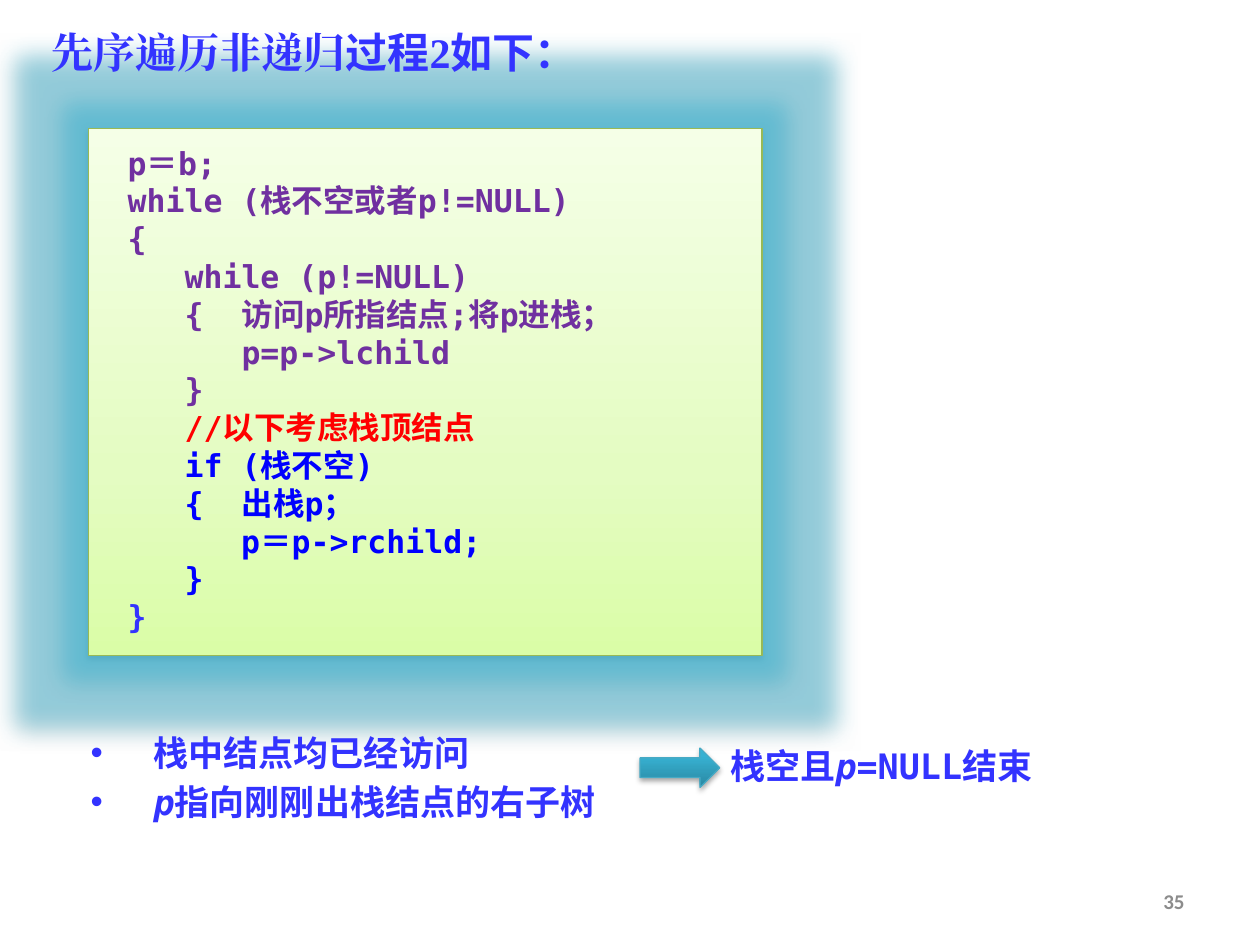
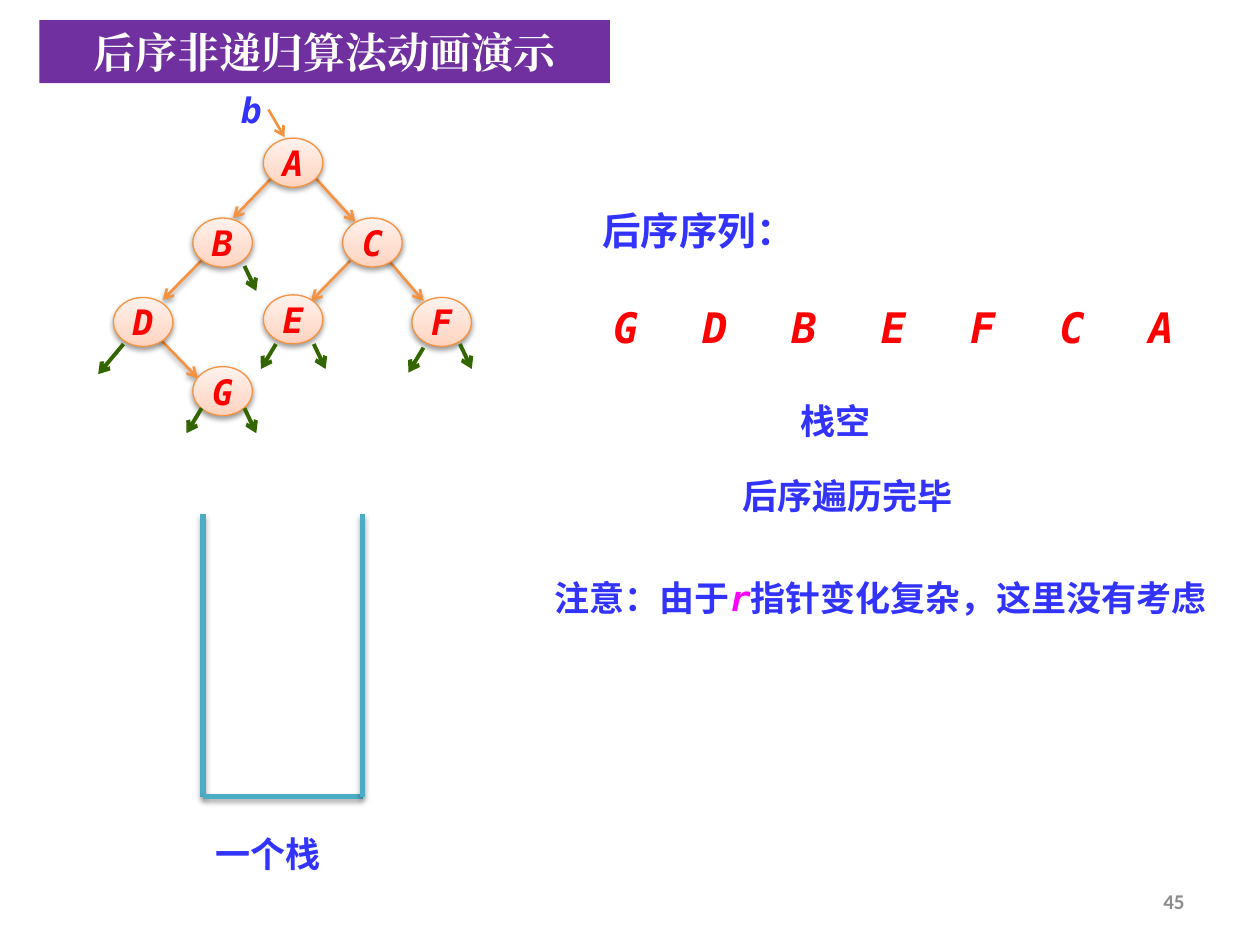
from dataclasses import dataclass

from lxml import etree
from pptx import Presentation
from pptx.dml.color import RGBColor
from pptx.enum.shapes import MSO_CONNECTOR, MSO_SHAPE
from pptx.enum.text import MSO_ANCHOR, PP_ALIGN
from pptx.oxml import parse_xml
from pptx.oxml.ns import nsdecls, qn
from pptx.util import Pt

LEFT, CENTER, RIGHT = PP_ALIGN.LEFT, PP_ALIGN.CENTER, PP_ALIGN.RIGHT
TOP, MIDDLE = MSO_ANCHOR.TOP, MSO_ANCHOR.MIDDLE
STRAIGHT = MSO_CONNECTOR.STRAIGHT
RECT, OVAL, ARROW = MSO_SHAPE.RECTANGLE, MSO_SHAPE.OVAL, MSO_SHAPE.RIGHT_ARROW


@dataclass(frozen=True)
class Theme:
    mono: str = "DejaVu Sans Mono"
    serif: str = "Times New Roman"
    cjk: str = "Noto Sans CJK SC"
    sans: str = "Calibri"
    title: int = 24
    heading: int = 22
    body: int = 20
    code: int = 18
    footer: int = 12
    ink: str = "3333FF"
    blue: str = "0000FF"
    red: str = "FF0000"
    purple: str = "7030A0"
    pink: str = "FF00FF"
    white: str = "FFFFFF"
    grey: str = "8C8C8C"
    orange: str = "F69240"
    green: str = "336600"
    teal: str = "4BACC6"
    teal_edge: str = "46AAC5"
    lime_edge: str = "98B955"
    glow: str = "2FB9DC"
    lime: tuple = ((0, "DAFDA7"), (35, "E4FCC2"), (100, "F5FFE7"))
    peach: tuple = ((0, "FFD2BD"), (35, "FFDED0"), (100, "FFF2ED"))
    sea: tuple = ((0, "2A88A2"), (80, "37B1D2"), (100, "34B4D6"))


T = Theme()
INSETS = (7.2, 3.6, 7.2, 3.6)


def rgb(color):
    return RGBColor.from_string(color)


def effects(s, shadow=0, glow=0):
    """Give a shape an optional glow radius and shadow opacity (percent)."""
    spPr = s._element.spPr
    lst = etree.SubElement(spPr, qn("a:effectLst"))
    if glow:
        lst.append(parse_xml(
            f'<a:glow {nsdecls("a")} rad="{Pt(glow)}"><a:srgbClr val="{T.glow}">'
            '<a:alpha val="40000"/></a:srgbClr></a:glow>'))
    if shadow:
        lst.append(parse_xml(
            f'<a:outerShdw {nsdecls("a")} blurRad="{Pt(3.1)}" dist="{Pt(1.6)}" '
            'dir="5400000" rotWithShape="0"><a:srgbClr val="000000">'
            f'<a:alpha val="{shadow * 1000}"/></a:srgbClr></a:outerShdw>'))


def shape(slide, kind, box, fill, edge=None, shadow=0, glow=0):
    """Add a preset shape; fill is a colour or a tuple of gradient stops."""
    s = slide.shapes.add_shape(kind, *map(Pt, box))
    if isinstance(fill, str):
        s.fill.solid()
        s.fill.fore_color.rgb = rgb(fill)
    else:
        s.fill.background()
        stops = "".join(f'<a:gs pos="{pos * 1000}"><a:srgbClr val="{c}"/></a:gs>'
                        for pos, c in fill)
        spPr = s._element.spPr
        spPr.replace(spPr.find(qn("a:noFill")), parse_xml(
            f'<a:gradFill {nsdecls("a")} rotWithShape="1"><a:gsLst>{stops}</a:gsLst>'
            '<a:lin ang="16200000" scaled="0"/></a:gradFill>'))
    if edge:
        s.line.color.rgb = rgb(edge)
        s.line.width = Pt(0.75)
    else:
        s.line.fill.background()
    effects(s, shadow, glow)
    return s


def line(slide, box, start, end, color, width, arrow=True, shadow=0):
    """Add a line between two points given relative to the box."""
    x, y = box[:2]
    s = slide.shapes.add_connector(STRAIGHT, Pt(x + start[0]), Pt(y + start[1]),
                                   Pt(x + end[0]), Pt(y + end[1]))
    s.line.color.rgb = rgb(color)
    s.line.width = Pt(width)
    if arrow:
        etree.SubElement(s.line._get_or_add_ln(), qn("a:tailEnd"), type="arrow")
    effects(s, shadow)


def write(s, paras, font=T.mono, size=T.body, color=T.ink, bold=True, italic=False,
          align=LEFT, anchor=TOP, insets=INSETS, wrap=True, bullet=None, spacing=None):
    """Fill a shape; a paragraph is a string or a list of (text, overrides)."""
    tf = s.text_frame
    tf.word_wrap = wrap
    tf.vertical_anchor = anchor
    tf.margin_left, tf.margin_top, tf.margin_right, tf.margin_bottom = map(Pt, insets)
    for i, runs in enumerate(paras):
        p = tf.add_paragraph() if i else tf.paragraphs[0]
        p.alignment = align
        if spacing:
            p.line_spacing = Pt(spacing)
        if bullet:
            pPr = p._p.get_or_add_pPr()
            pPr.set("marL", str(Pt(36)))
            pPr.set("indent", str(-Pt(36)))
            etree.SubElement(pPr, qn("a:buFont"), typeface="Arial")
            etree.SubElement(pPr, qn("a:buChar"), char=bullet)
        for content, own in [(runs, {})] if isinstance(runs, str) else runs:
            r = p.add_run()
            r.text = content
            face = own.get("font", font)
            r.font.name = face
            r.font.size = Pt(size)
            r.font.bold = bold
            r.font.italic = own.get("italic", italic)
            r.font.color.rgb = rgb(own.get("color", color))
            etree.SubElement(r._r.get_or_add_rPr(), qn("a:ea"), typeface=face)


def text(slide, box, paras, **fmt):
    write(slide.shapes.add_textbox(*map(Pt, box)), paras, **fmt)


def page_number(slide, number):
    text(slide, (516, 500.5, 168, 28.75), [str(number)], font=T.sans, size=T.footer,
         color=T.grey, align=RIGHT, anchor=MIDDLE)


# Slide 1: preorder traversal
CODE = [
    (T.purple, ["p＝b;", "while (栈不空或者p!=NULL)", "{", "   while (p!=NULL)",
                "   {  访问p所指结点;将p进栈；", "      p=p->lchild", "   }"]),
    (T.red, ["   //以下考虑栈顶结点"]),
    (T.blue, ["   if (栈不空)", "   {  出栈p；", "　　 　p＝p->rchild;", "   }"]),
    (T.ink, ["}"]),
]


def code_panel(slide, box):
    s = shape(slide, RECT, box, T.lime, T.lime_edge, shadow=38, glow=28)
    lines = [[(code, {"color": color})] for color, block in CODE for code in block]
    write(s, lines, size=T.code, insets=(22.5, 8.5, 7.2, 8.5))


def stack_notes(slide, box):
    x, y = box[:2]
    text(slide, (x, y, 304, 64),
         ["栈中结点均已经访问", [("p", {"italic": True}), ("指向刚刚出栈结点的右子树", {})]],
         bullet="•", spacing=28)
    text(slide, (x + 365.5, y + 11.5, 191.5, 31.5),
         [[("栈空且", {}), ("p", {"italic": True}), ("=NULL结束", {})]])
    shape(slide, ARROW, (x + 321, y + 17, 45.5, 22.5), T.sea, T.teal_edge, shadow=35)


def preorder_slide(slide):
    code_panel(slide, (50.5, 73.5, 385, 301))
    text(slide, (22.5, 11.5, 416, 36),
         [[("先序遍历非递归", {}), ("过程", {"font": T.cjk}), ("2", {}),
           ("如下：", {"font": T.cjk})]], font=T.serif, size=T.title)
    stack_notes(slide, (44.75, 410.5, 557, 64))
    page_number(slide, 35)


# Slide 2: postorder traversal; points are relative to the tree's box
NODE_W, NODE_H = 34, 28
NODES = {"A": (94.5, 29), "B": (54.2, 74.6), "C": (139.8, 74.6), "D": (8.8, 120),
         "E": (94.5, 118.5), "G": (54.2, 159.5), "F": (179.4, 120)}
EDGES = [((34.7, 143), (57, 166)), ((99.5, 51.5), (77.2, 74.6)),
         ((124, 51.5), (147, 76.7)), ((62, 96), (37, 121.4)),
         ((144.2, 99), (121.8, 122)), ((163.6, 96), (186, 122))]
# Step of an empty pointer, then the points where such pointers start
NULL_POINTERS = [
    ((6.75, 14.25), [(83.7, 183.3), (123.3, 146.6), (206.8, 146.6), (83.7, 102)]),
    ((-8.6, 14.25), [(59.2, 183.3), (101.7, 146.6), (186, 148.7)]),
    ((-14.5, 17.25), [(14.6, 146.6)]),
]


def tree(slide, box):
    x, y = box[:2]
    for start, end in EDGES:
        line(slide, box, start, end, T.orange, 1.5, shadow=38)
    for name, (dx, dy) in NODES.items():
        s = shape(slide, OVAL, (x + dx, y + dy, NODE_W, NODE_H), T.peach, T.orange,
                  shadow=38)
        write(s, [name], color=T.red, italic=True, align=CENTER, anchor=MIDDLE,
              wrap=False)
    for (dx, dy), starts in NULL_POINTERS:
        for sx, sy in starts:
            line(slide, box, (sx, sy), (sx + dx, sy + dy), T.green, 2.25)
    # Root pointer
    line(slide, box, (97.4, 12.6), (106.7, 28.5), T.orange, 1.5)
    text(slide, (x + 73.6, y + 0.4, 28, 24.5), ["b"], italic=True, align=CENTER,
         insets=(0, 0, 0, 0))


def stack(slide, box):
    x, y, w, h = box
    corners = [(0, 0), (0, h), (w, h), (w, 0)]
    for start, end in zip(corners, corners[1:]):
        line(slide, box, start, end, T.teal, 3, arrow=False, shadow=35)
    text(slide, (x, y + h + 17, w, 31.5), ["一个栈"])


def sequence(slide, box):
    x, y = box[:2]
    text(slide, (x, y, 136, 34), ["后序序列："], size=T.heading, align=CENTER)
    for i, name in enumerate("GDBEFCA"):
        text(slide, (x + 9.4 + i * 51, y + 57, 34, 29), [name], size=T.title,
             color=T.red, italic=True, align=CENTER, insets=(0, 0, 0, 0))


def remarks(slide, box):
    x, y = box[:2]
    text(slide, (x + 140.5, y, 73.5, 31.5), ["栈空"])
    text(slide, (x + 67, y + 43, 215, 31.5), ["后序遍历完毕"], align=CENTER)
    text(slide, (x, y + 101.5, 388, 31.5),
         [[("注意：由于", {}), ("r", {"italic": True, "color": T.pink}),
           ("指针变化复杂，这里没有考虑", {})]])


def postorder_slide(slide):
    tree(slide, (56, 50, 215, 198))
    stack(slide, (116, 294, 91.25, 161.25))
    band = shape(slide, RECT, (22.5, 11.5, 326, 36), T.purple)
    write(band, ["后序非递归算法动画演示"], font=T.serif, size=T.title, color=T.white,
          align=CENTER)
    sequence(slide, (331.2, 115, 350, 86))
    remarks(slide, (309.6, 224.6, 388, 133))
    page_number(slide, 45)


def main():
    prs = Presentation()
    prs.slide_width, prs.slide_height = Pt(720), Pt(540)
    for build in (preorder_slide, postorder_slide):
        build(prs.slides.add_slide(prs.slide_layouts[6]))
    prs.save("out.pptx")


if __name__ == "__main__":
    main()
